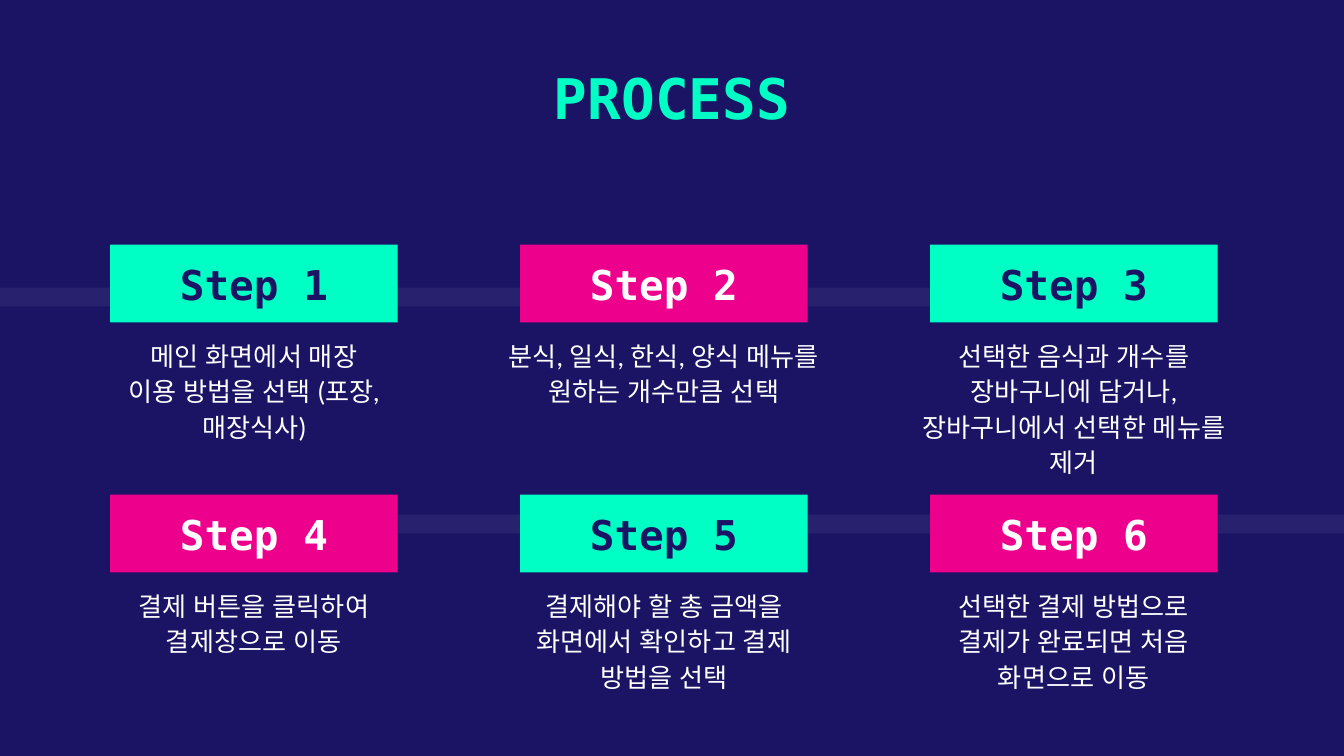
from pptx import Presentation
from pptx import util as u
from pptx.dml.color import RGBColor
from pptx.enum import shapes, text
from pptx.oxml.ns import qn
from lxml import etree

NAVY, MINT, PINK, WHITE = "1B1464", "00FFC5", "EC008C", "FFFFFF"
MONO, SANS = "DejaVu Sans Mono", "Lato"
LEFT, TOP, WIDE, HIGH = 0.82, 1.82, 2.14, 0.58
STEP_X, STEP_Y = 3.05, 1.86
STEPS = [
    ("메인 화면에서 매장 이용 방법을 선택 (포장, 매장식사)", 2.07, 1),
    ("분식, 일식, 한식, 양식 메뉴를 원하는 개수만큼 선택", 2.9, 1.13),
    ("선택한 음식과 개수를 장바구니에 담거나, 장바구니에서 선택한 메뉴를 제거", 2.48, 1.23),
    ("결제 버튼을 클릭하여 결제창으로 이동", 2.07, 0.71),
    ("결제해야 할 총 금액을 화면에서 확인하고 결제 방법을 선택", 2.21, 0.98),
    ("선택한 결제 방법으로 결제가 완료되면 처음 화면으로 이동", 2.14, 0.9),
]


def paint(fill, color):
    """Give a fill one solid colour."""
    fill.solid()
    fill.fore_color.rgb = RGBColor.from_string(color)


def write(shape, words, color, anchor, **font):
    """Write one centred paragraph into a shape."""
    frame = shape.text_frame
    inset = u.Inches(0.1)
    form = {"word_wrap": True, "vertical_anchor": anchor,
            "margin_left": inset, "margin_right": inset,
            "margin_top": inset, "margin_bottom": inset}
    for name, value in form.items():
        setattr(frame, name, value)
    para = frame.paragraphs[0]
    para.alignment = text.PP_ALIGN.CENTER
    run = para.add_run()
    run.text = words
    for name, value in font.items():
        setattr(run.font, name, value)
    paint(run.font.fill, color)
    for tag in ("a:ea", "a:cs"):
        etree.SubElement(run.font._element, qn(tag)).set("typeface", font["name"])
    return para


def add_rect(slide, box, color):
    """Add a plain filled rectangle."""
    rect = slide.shapes.add_shape(shapes.MSO_SHAPE.RECTANGLE, *map(u.Inches, box))
    rect.shadow.inherit = False
    paint(rect.fill, color)
    rect.line.fill.background()
    return rect


def add_band(slide, box):
    """Add a faint white band behind a row of steps."""
    band = add_rect(slide, box, WHITE)
    tint = band.fill._xPr.find(qn("a:solidFill"))[0]
    etree.SubElement(tint, qn("a:alpha")).set("val", "6000")


def add_title(slide, words):
    """Add the slide title."""
    box = slide.shapes.add_textbox(*map(u.Inches, (1.4, 0.37, 7.2, 0.73)))
    write(box, words, MINT, text.MSO_ANCHOR.TOP,
          name=MONO, size=u.Pt(30), bold=True)


def add_step(slide, index, words, wide, high):
    """Add a step's label and the note centred below it."""
    row, col = divmod(index, 3)
    left, top = LEFT + col * STEP_X, TOP + row * STEP_Y
    back, ink = (PINK, WHITE) if index % 2 else (MINT, NAVY)
    label = add_rect(slide, (left, top, WIDE, HIGH), back)
    write(label, f"Step {index + 1}", ink, text.MSO_ANCHOR.BOTTOM,
          name=MONO, size=u.Pt(22), bold=True)
    place = (left + (WIDE - wide) / 2, top + HIGH, wide, high)
    note = slide.shapes.add_textbox(*map(u.Inches, place))
    para = write(note, words, WHITE, text.MSO_ANCHOR.TOP, name=SANS, size=u.Pt(14))
    para.line_spacing = u.Pt(19)


def main():
    """Build the process slide."""
    deck = Presentation()
    deck.slide_width, deck.slide_height = u.Inches(10), u.Inches(10 * 9 / 16)
    slide = deck.slides.add_slide(deck.slide_layouts[6])
    paint(slide.background.fill, NAVY)
    add_band(slide, (0, 2.14, 8.52, 0.14))
    add_band(slide, (1.02, 3.83, 8.98, 0.14))
    add_title(slide, "PROCESS")
    for index, step in enumerate(STEPS):
        add_step(slide, index, *step)
    deck.save("out.pptx")


if __name__ == "__main__":
    main()
